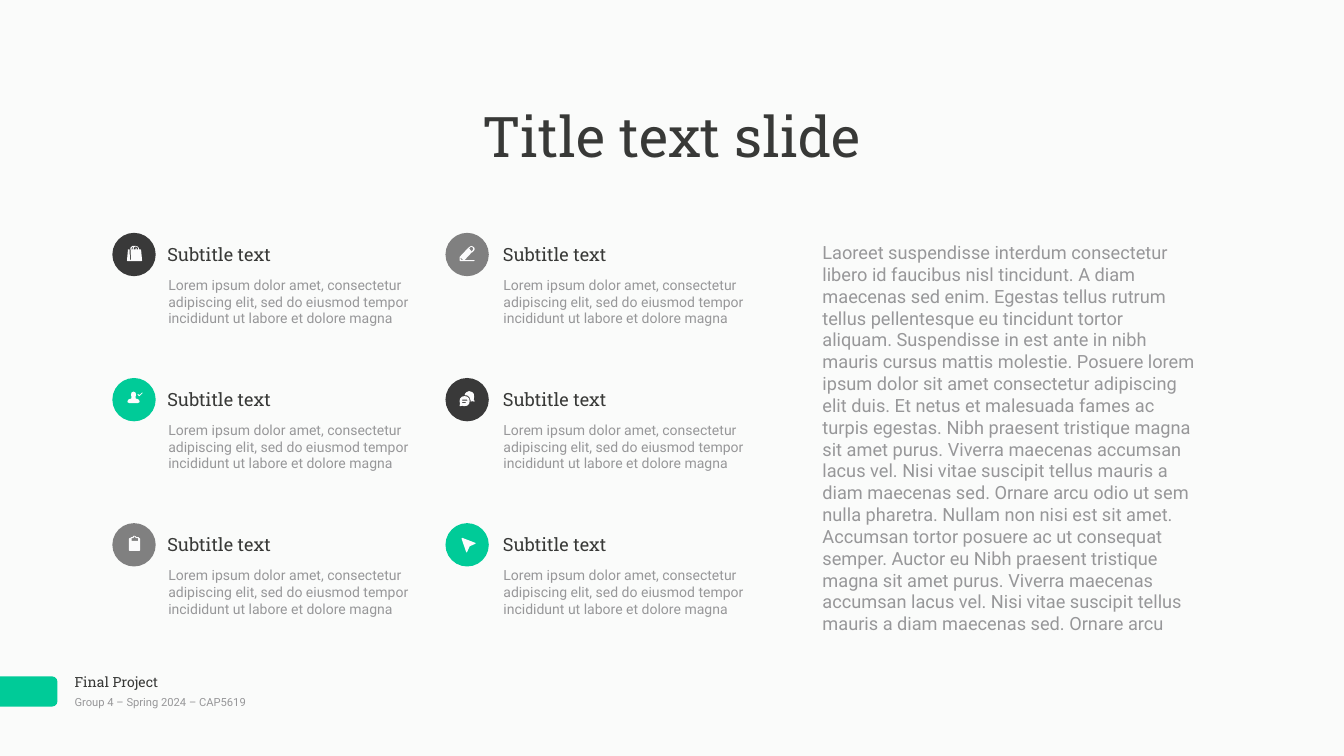
from lxml.etree import SubElement
from pptx import Presentation
from pptx.dml.color import RGBColor
from pptx.enum.shapes import MSO_SHAPE
from pptx.enum.text import MSO_ANCHOR, MSO_AUTO_SIZE, PP_ALIGN
from pptx.oxml.ns import qn
from pptx.util import Emu, Pt

PX = 9144  # EMU per px: one px is a hundredth of an inch

BACKGROUND = RGBColor(0xFA, 0xFB, 0xFA)
INK = RGBColor(0x38, 0x39, 0x37)
BODY_GRAY = RGBColor(0x97, 0x97, 0x99)
DARK = RGBColor(0x39, 0x39, 0x39)
GRAY = RGBColor(0x80, 0x80, 0x80)
GREEN = RGBColor(0x00, 0xCB, 0x98)
ICON_WHITE = RGBColor(0xFB, 0xFB, 0xFC)
HEADING_FONT = "Roboto Slab"
BODY_FONT = "Roboto"

ROW_PITCH = 288
CIRCLE_TOP = 462
CIRCLE_SIZE = 86

FEATURE_TEXT = (
    "Lorem ipsum dolor amet, consectetur adipiscing elit, sed do eiusmod "
    "tempor incididunt ut labore et dolore magna"
)
MAIN_TEXT = (
    "Laoreet suspendisse interdum consectetur libero id faucibus nisl tincidunt. "
    "A diam maecenas sed enim. Egestas tellus rutrum tellus pellentesque eu "
    "tincidunt tortor aliquam. Suspendisse in est ante in nibh mauris cursus "
    "mattis molestie. Posuere lorem ipsum dolor sit amet consectetur adipiscing "
    "elit duis. Et netus et malesuada fames ac turpis egestas. Nibh praesent "
    "tristique magna sit amet purus. Viverra maecenas accumsan lacus vel. Nisi "
    "vitae suscipit tellus mauris a diam maecenas sed. Ornare arcu odio ut sem "
    "nulla pharetra. Nullam non nisi est sit amet. Accumsan tortor posuere ac ut "
    "consequat semper. Auctor eu Nibh praesent tristique magna sit amet purus. "
    "Viverra maecenas accumsan lacus vel. Nisi vitae suscipit tellus mauris a "
    "diam maecenas sed. Ornare arcu"
)

# Icon outlines: offset inside the circle, then closed contours in px
BAG = ((29, 26), [
    [(28, 8), (27, 7), (24, 7), (24, 6), (23, 3), (21, 1), (17, 0), (11, 0),
     (8, 2), (7, 4), (7, 7), (8, 27), (7, 28), (6, 27), (5, 7), (2, 7),
     (0, 29), (1, 30), (29, 30), (30, 29)],
    [(11, 6), (11, 7), (9, 7), (9, 6), (10, 3), (13, 1), (12, 3)],
    [(22, 7), (19, 7), (19, 4), (17, 3), (17, 7), (13, 7), (13, 6), (14, 3),
     (17, 1), (20, 2), (22, 4)],
])
USER = ((30, 27), [
    [(12, 23), (4, 23), (0, 21), (0, 20), (1, 17), (3, 15), (7, 14), (8, 13),
     (8, 11), (7, 6), (8, 2), (12, 0), (16, 2), (17, 6), (16, 11), (16, 13),
     (17, 14), (21, 15), (23, 17), (24, 20), (24, 21), (20, 23)],
    [(24, 9), (30, 3), (30, 2), (29, 2), (24, 7), (21, 5), (20, 5), (20, 6), (23, 9)],
])
CLIPBOARD = ((33, 25), [
    [(21, 5), (20, 5), (20, 4), (19, 3), (15, 3), (13, 1), (10, 0), (8, 1),
     (7, 3), (4, 3), (3, 4), (3, 5), (1, 5), (0, 6), (0, 29), (1, 30),
     (21, 30), (22, 29), (22, 6)],
    [(5, 5), (8, 5), (9, 4), (10, 2), (12, 2), (13, 4), (14, 5), (18, 5),
     (18, 10), (5, 10)],
])
PENCIL = ((28, 26), [
    [(29, 28), (10, 28), (24, 13), (25, 13), (29, 9), (30, 6), (29, 3), (26, 1),
     (23, 0), (21, 1), (17, 4), (16, 5), (0, 22), (0, 29), (1, 30), (29, 30),
     (30, 29)],
    [(22, 2), (25, 2), (27, 5), (27, 7), (24, 11), (19, 5)],
    [(4, 28), (2, 26), (2, 23), (7, 28)],
])
CHAT = ((28, 26), [
    [(28, 16), (29, 11), (28, 5), (25, 2), (19, 0), (14, 2), (11, 5), (10, 8),
     (16, 9), (20, 13), (22, 19), (22, 21), (25, 20), (29, 21), (30, 20)],
    [(1, 30), (5, 29), (9, 30), (15, 29), (19, 25), (20, 20), (19, 15), (15, 11),
     (10, 10), (5, 11), (1, 15), (0, 20), (1, 25), (0, 29)],
    [(15, 19), (5, 19), (5, 17), (15, 17), (16, 18)],
    [(12, 24), (5, 24), (5, 22), (12, 22), (13, 23)],
])
CURSOR = ((32, 29), [
    [(27, 10), (1, 0), (0, 1), (0, 2), (9, 28), (10, 29), (11, 28), (16, 17),
     (27, 12), (28, 11)],
])

# Columns: circle left, heading left, text left, then icon and colour by row
COLUMNS = [
    (223, 326, 328, [(BAG, DARK), (USER, GREEN), (CLIPBOARD, GRAY)]),
    (884, 992, 993, [(PENCIL, GRAY), (CHAT, DARK), (CURSOR, GREEN)]),
]


def px(length):
    return Emu(length * PX)


def place(shape, left, top, width, height):
    shape.left, shape.top = px(left), px(top)
    shape.width, shape.height = px(width), px(height)


def write_text(shape, text, size, font, color, align=PP_ALIGN.LEFT, anchor=MSO_ANCHOR.TOP):
    frame = shape.text_frame
    frame.word_wrap = True
    frame.auto_size = MSO_AUTO_SIZE.SHAPE_TO_FIT_TEXT
    frame.vertical_anchor = anchor
    frame.margin_left = frame.margin_right = px(6)
    frame.margin_top = frame.margin_bottom = px(6)
    paragraph = frame.paragraphs[0]
    paragraph.alignment = align
    run = paragraph.add_run()
    run.text = text
    run.font.size = Pt(size)
    run.font.name = font
    run.font.color.rgb = color
    return paragraph


def add_label(slide, box, text, size, font, color, anchor=MSO_ANCHOR.TOP):
    label = slide.shapes.add_textbox(*map(px, box))
    write_text(label, text, size, font, color, anchor=anchor)


def remove_bullet(paragraph):
    properties = paragraph._p.get_or_add_pPr()
    properties.set("marL", "0")
    properties.set("indent", "0")
    SubElement(properties, qn("a:buNone"))
    paragraph.space_before = Pt(0)


def paint(shape, color):
    shape.shadow.inherit = False
    shape.fill.solid()
    shape.fill.fore_color.rgb = color
    shape.line.fill.background()


def add_filled_shape(slide, kind, box, color):
    shape = slide.shapes.add_shape(kind, *map(px, box))
    paint(shape, color)
    return shape


def add_icon(slide, left, top, contours):
    first, *others = contours
    builder = slide.shapes.build_freeform(*first[0], scale=PX)
    builder.add_line_segments(first[1:], close=True)
    for contour in others:
        builder.move_to(*contour[0])
        builder.add_line_segments(contour[1:], close=True)
    paint(builder.convert_to_shape(px(left), px(top)), ICON_WHITE)


def add_feature(slide, row, circle_left, heading_left, text_left, icon, color):
    top = CIRCLE_TOP + row * ROW_PITCH
    circle_box = (circle_left, top, CIRCLE_SIZE, CIRCLE_SIZE)
    add_filled_shape(slide, MSO_SHAPE.OVAL, circle_box, color)
    (icon_x, icon_y), contours = icon
    add_icon(slide, circle_left + icon_x, top + icon_y, contours)
    add_label(slide, (heading_left, top + 14, 312, 55), "Subtitle text", 26, HEADING_FONT, INK)
    add_label(slide, (text_left, top + 80, 500, 111), FEATURE_TEXT, 20, BODY_FONT, BODY_GRAY)


def add_footer(slide):
    # Tab at the slide's edge, turned so that its round corners face right
    tab = add_filled_shape(slide, MSO_SHAPE.ROUND_2_SAME_RECTANGLE, (27, 1315, 60, 114), GREEN)
    tab.rotation = 90
    tab.adjustments[0] = 0.18
    add_label(slide, (142, 1330, 319, 45), "Final Project", 20, HEADING_FONT, INK)
    add_label(slide, (142, 1373, 472, 38), "Group 4 – Spring 2024 – CAP5619",
              16, BODY_FONT, BODY_GRAY, MSO_ANCHOR.MIDDLE)


def main():
    presentation = Presentation()
    presentation.slide_width, presentation.slide_height = px(2667), px(1500)
    slide = presentation.slides.add_slide(presentation.slide_layouts[1])
    slide.background.fill.solid()
    slide.background.fill.fore_color.rgb = BACKGROUND

    # Title and main text
    title, body = slide.placeholders
    place(title, 912, 196, 842, 146)
    write_text(title, "Title text slide", 80, HEADING_FONT, INK, PP_ALIGN.CENTER)
    place(body, 1626, 473, 754, 799)
    remove_bullet(write_text(body, MAIN_TEXT, 26, BODY_FONT, BODY_GRAY))

    # Feature grid
    for circle_left, heading_left, text_left, features in COLUMNS:
        for row, (icon, color) in enumerate(features):
            add_feature(slide, row, circle_left, heading_left, text_left, icon, color)

    add_footer(slide)
    presentation.save("out.pptx")


if __name__ == "__main__":
    main()
